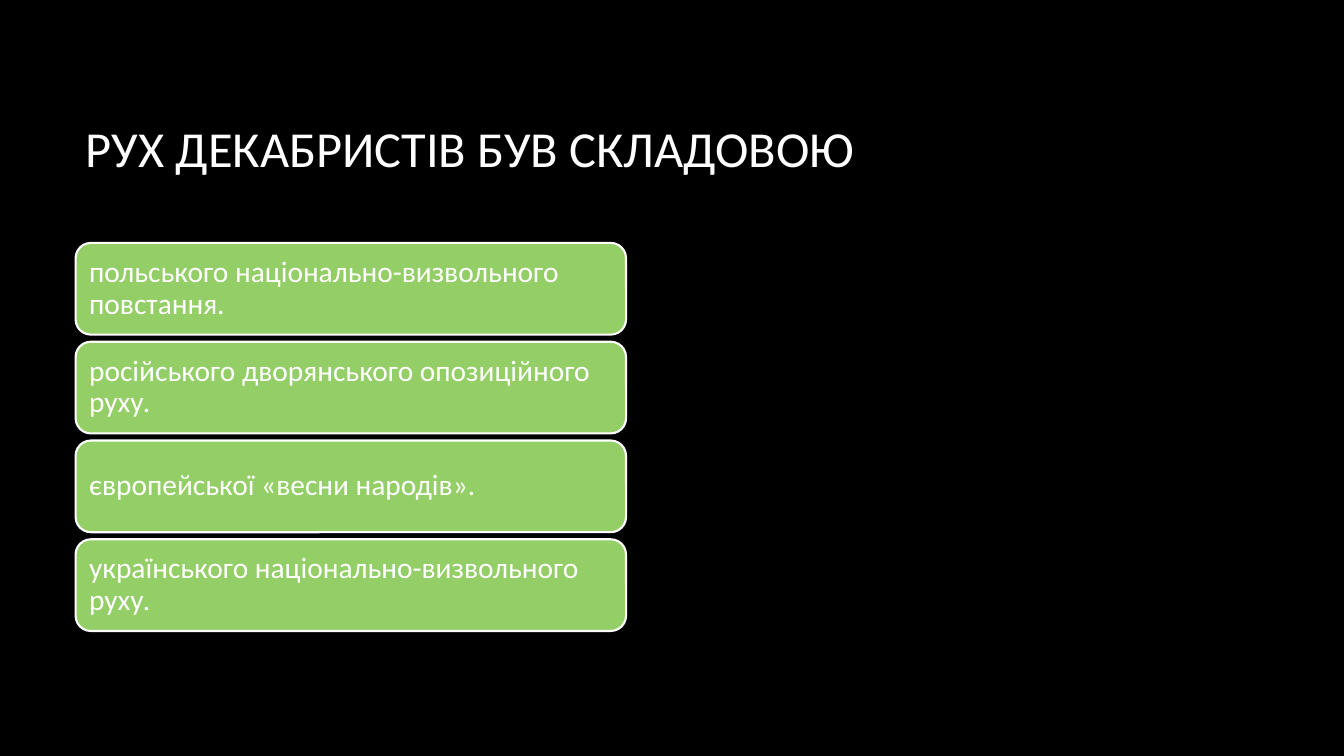
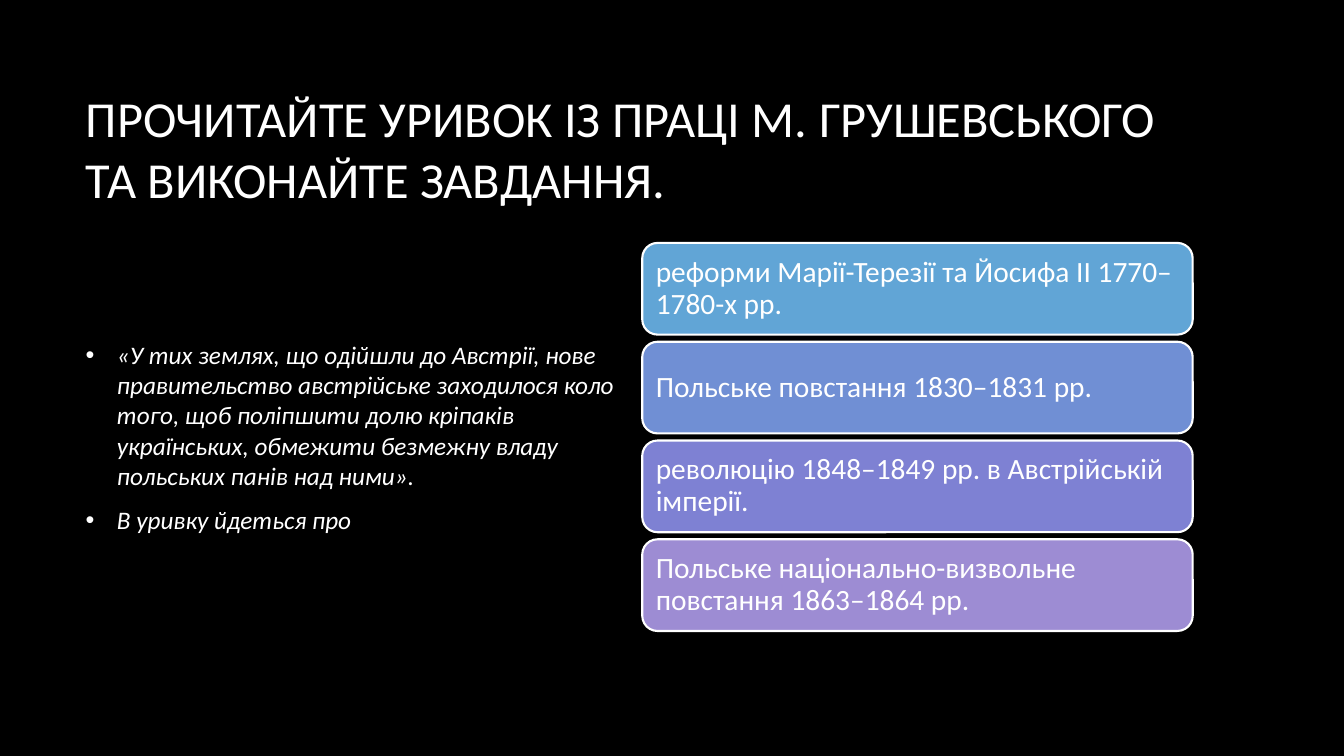
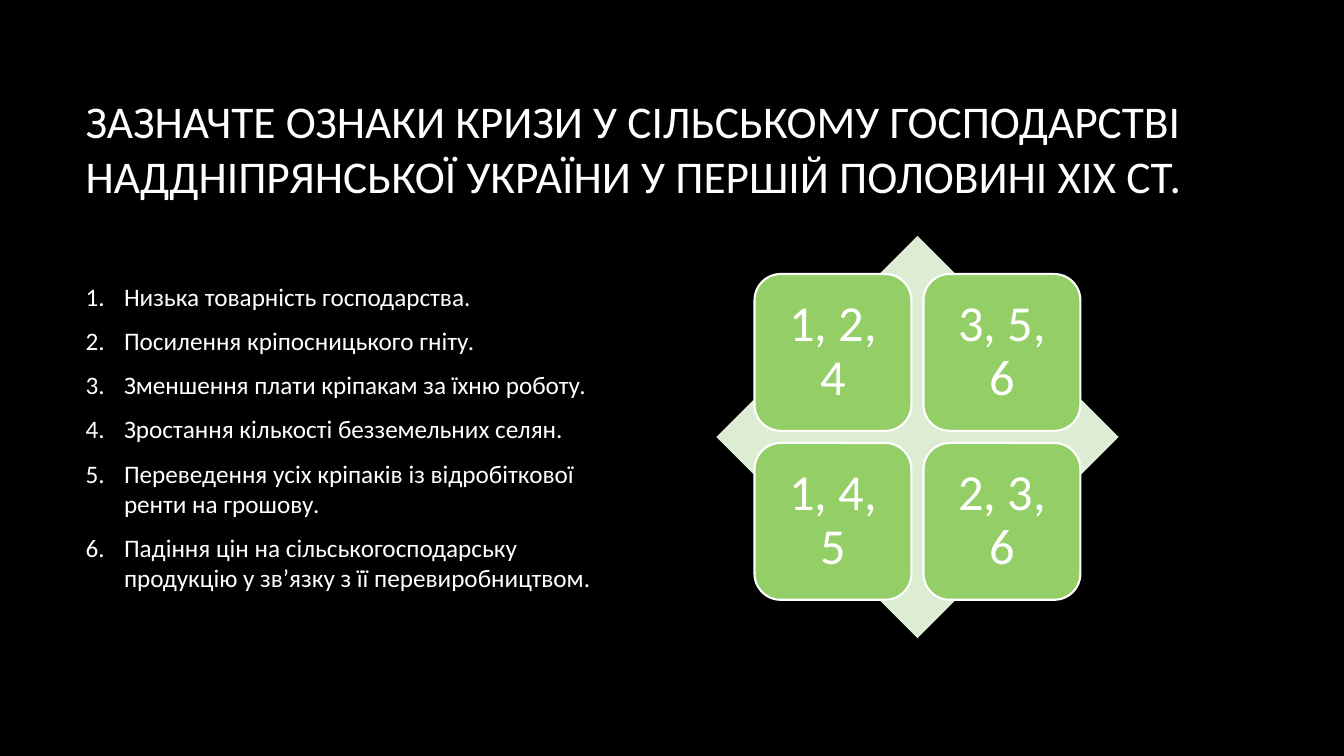
from dataclasses import dataclass
from itertools import product

from lxml import etree
from pptx import Presentation, util as u
from pptx.dml.color import RGBColor
from pptx.enum import shapes, text
from pptx.oxml.ns import qn

WIDE, HIGH = 13.33, 7.5
LEFT, COL, GAP = 0.75, 5.46, 0.16
RIGHT = LEFT + COL + GAP
TOP, TALL = 2.34, 3.99
FONT = "Calibri"
HUES = {
    "back": "000000", "ink": "FFFFFF", "green": "94CE67", "pale": "DCEDD3",
    "sky": "61A5D6", "blue": "708FD4", "iris": "7E81D3", "mauve": "9D8CD3",
}


@dataclass
class Box:
    x: float
    y: float
    w: float
    h: float


@dataclass
class Bar:
    words: str
    hue: str = "green"


@dataclass
class Mark:
    tag: str
    key: str
    value: str
    font: str
    hang: float


DOT = Mark("a:buChar", "char", "•", "Arial", 0.31)
NUM = Mark("a:buAutoNum", "type", "arabicPeriod", FONT, 0.38)


def tint(name: str) -> RGBColor:
    return RGBColor.from_string(HUES[name])


def place(item, box: Box) -> None:
    item.left, item.top = u.Inches(box.x), u.Inches(box.y)
    item.width, item.height = u.Inches(box.w), u.Inches(box.h)


def bullet(par, mark: Mark) -> None:
    props = par._p.get_or_add_pPr()
    props.set("marL", str(u.Inches(mark.hang)))
    props.set("indent", str(-u.Inches(mark.hang)))
    shade = etree.SubElement(props, qn("a:buClr"))
    etree.SubElement(shade, qn("a:srgbClr")).set("val", HUES["ink"])
    etree.SubElement(props, qn("a:buFont")).set("typeface", mark.font)
    etree.SubElement(props, qn(mark.tag)).set(mark.key, mark.value)


def write(item, *lines: str, size: float, align=text.PP_ALIGN.LEFT,
          lead: float = 1.0, after: float = 0, inset: float | None = None,
          italic: bool = False, mark: Mark | None = None) -> None:
    frame = item.text_frame
    frame.word_wrap = True
    frame.auto_size = text.MSO_AUTO_SIZE.NONE
    frame.vertical_anchor = text.MSO_ANCHOR.MIDDLE
    if inset is not None:
        frame.margin_left = frame.margin_right = u.Inches(inset)
        frame.margin_top = frame.margin_bottom = u.Inches(inset)
    for i, line in enumerate(lines):
        par = frame.add_paragraph() if i else frame.paragraphs[0]
        if mark:
            bullet(par, mark)
        par.alignment, par.line_spacing = align, lead
        par.space_before, par.space_after = u.Pt(0), u.Pt(after)
        run = par.add_run()
        run.text = line
        run.font.name, run.font.size = FONT, u.Pt(size)
        run.font.italic = italic
        run.font.color.rgb = tint("ink")


def draw(slide, kind, box: Box, hue: str, edge: bool = True):
    item = slide.shapes.add_shape(kind, 0, 0, 0, 0)
    place(item, box)
    item.shadow.inherit = False
    item.fill.solid()
    item.fill.fore_color.rgb = tint(hue)
    if edge:
        item.line.color.rgb = tint("ink")
        item.line.width = u.Pt(1.5)
    else:
        item.line.fill.background()
    return item


def start(deck, title: str, size: float = 36, body: bool = True):
    slide = deck.slides.add_slide(deck.slide_layouts[1 if body else 5])
    head = slide.shapes.title
    place(head, Box(LEFT, 0.67, 2 * COL + GAP, 1.59))
    write(head, title, size=size)
    return slide


def fill(slide, *lines: str, mark: Mark, italic: bool = False) -> None:
    body = slide.placeholders[1]
    place(body, Box(LEFT, TOP, COL, TALL))
    write(body, *lines, size=18, after=10, mark=mark, italic=italic)


def stack(slide, x: float, bars: list[Bar]) -> None:
    for row, bar in enumerate(bars):
        box = Box(x, 2.41 + row * 0.98, COL, 0.91)
        item = draw(slide, shapes.MSO_SHAPE.ROUNDED_RECTANGLE, box, bar.hue)
        write(item, bar.words, size=21, lead=0.9, inset=0.09)


def matrix(slide, cells: list[str]) -> None:
    x = RIGHT + (COL - TALL) / 2
    draw(slide, shapes.MSO_SHAPE.DIAMOND, Box(x, TOP, TALL, TALL), "pale", edge=False)
    side, step, edge = 0.39 * TALL, 0.42 * TALL, 0.095 * TALL
    for (row, col), words in zip(product(range(2), repeat=2), cells):
        box = Box(x + edge + col * step, TOP + edge + row * step, side, side)
        item = draw(slide, shapes.MSO_SHAPE.ROUNDED_RECTANGLE, box, "green")
        write(item, words, size=36, lead=0.9, inset=0.15, align=text.PP_ALIGN.CENTER)


def main() -> None:
    deck = Presentation()
    deck.slide_width, deck.slide_height = u.Inches(WIDE), u.Inches(HIGH)
    back = deck.slide_master.background.fill
    back.solid()
    back.fore_color.rgb = tint("back")

    slide = start(deck, "РУХ ДЕКАБРИСТІВ БУВ СКЛАДОВОЮ", body=False)
    stack(slide, LEFT, [
        Bar("польського національно-визвольного повстання."),
        Bar("російського дворянського опозиційного руху."),
        Bar("європейської «весни народів»."),
        Bar("українського національно-визвольного руху."),
    ])

    slide = start(deck, "ПРОЧИТАЙТЕ УРИВОК ІЗ ПРАЦІ М. ГРУШЕВСЬКОГО ТА ВИКОНАЙТЕ ЗАВДАННЯ.")
    fill(
        slide,
        "«У тих землях, що одійшли до Австрії, нове правительство австрійське "
        "заходилося коло того, щоб поліпшити долю кріпаків українських, "
        "обмежити безмежну владу польських панів над ними».",
        "В уривку йдеться про",
        mark=DOT, italic=True,
    )
    stack(slide, RIGHT, [
        Bar("реформи Марії-Терезії та Йосифа ІІ 1770–1780-х рр.", "sky"),
        Bar("Польське повстання 1830–1831 рр.", "blue"),
        Bar("революцію 1848–1849 рр. в Австрійській імперії.", "iris"),
        Bar("Польське національно-визвольне повстання 1863–1864 рр.", "mauve"),
    ])

    slide = start(deck, "ЗАЗНАЧТЕ ОЗНАКИ КРИЗИ У СІЛЬСЬКОМУ ГОСПОДАРСТВІ "
                  "НАДДНІПРЯНСЬКОЇ УКРАЇНИ У ПЕРШІЙ ПОЛОВИНІ ХІХ СТ.", size=32.4)
    fill(
        slide,
        "Низька товарність господарства.",
        "Посилення кріпосницького гніту.",
        "Зменшення плати кріпакам за їхню роботу.",
        "Зростання кількості безземельних селян.",
        "Переведення усіх кріпаків із відробіткової ренти на грошову.",
        "Падіння цін на сільськогосподарську продукцію у зв’язку з її перевиробництвом.",
        mark=NUM,
    )
    matrix(slide, ["1, 2, 4", "3, 5, 6", "1, 4, 5", "2, 3, 6"])

    deck.save("out.pptx")


if __name__ == "__main__":
    main()
